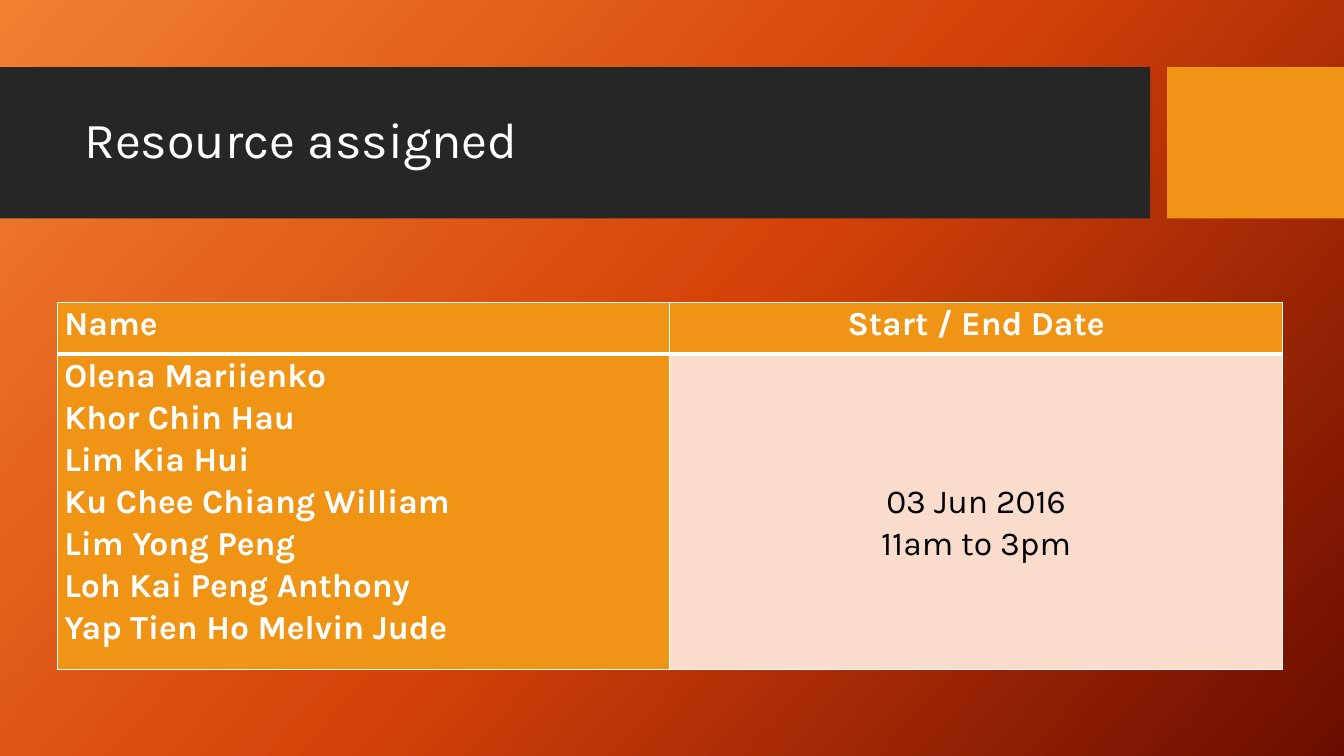
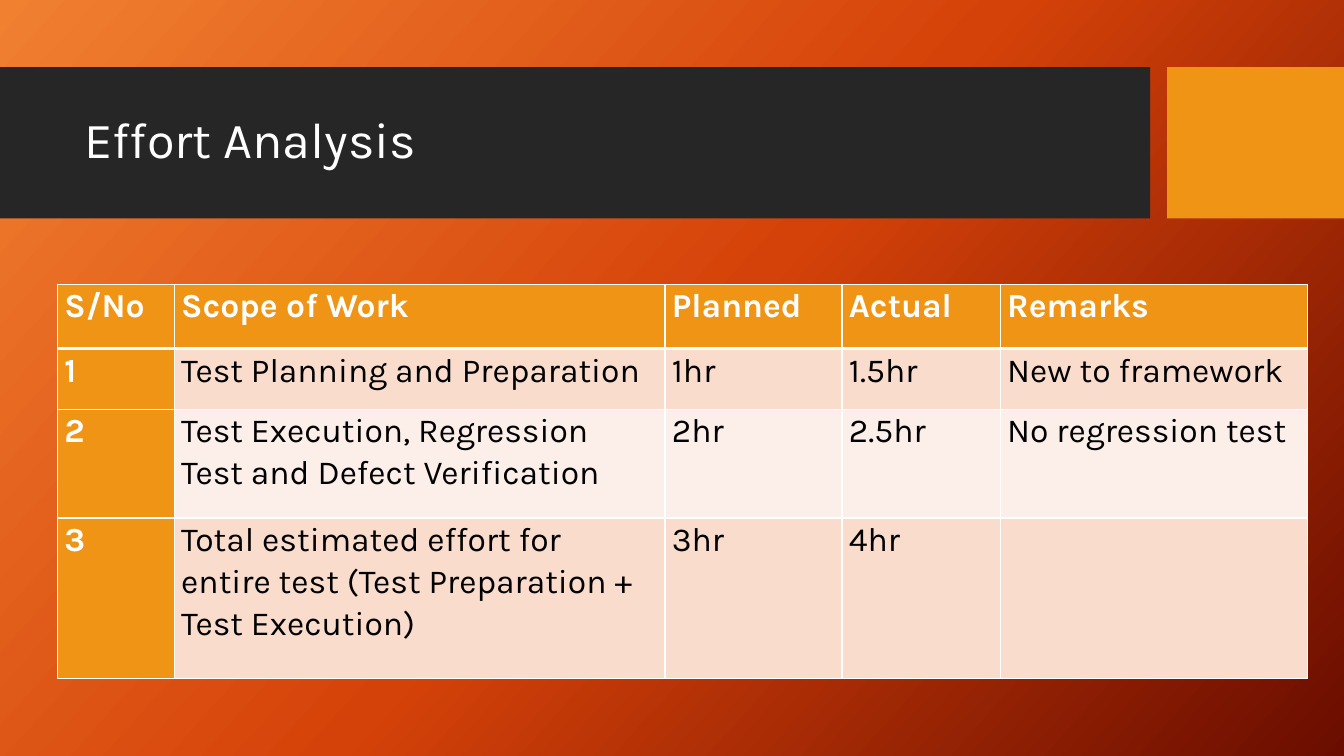
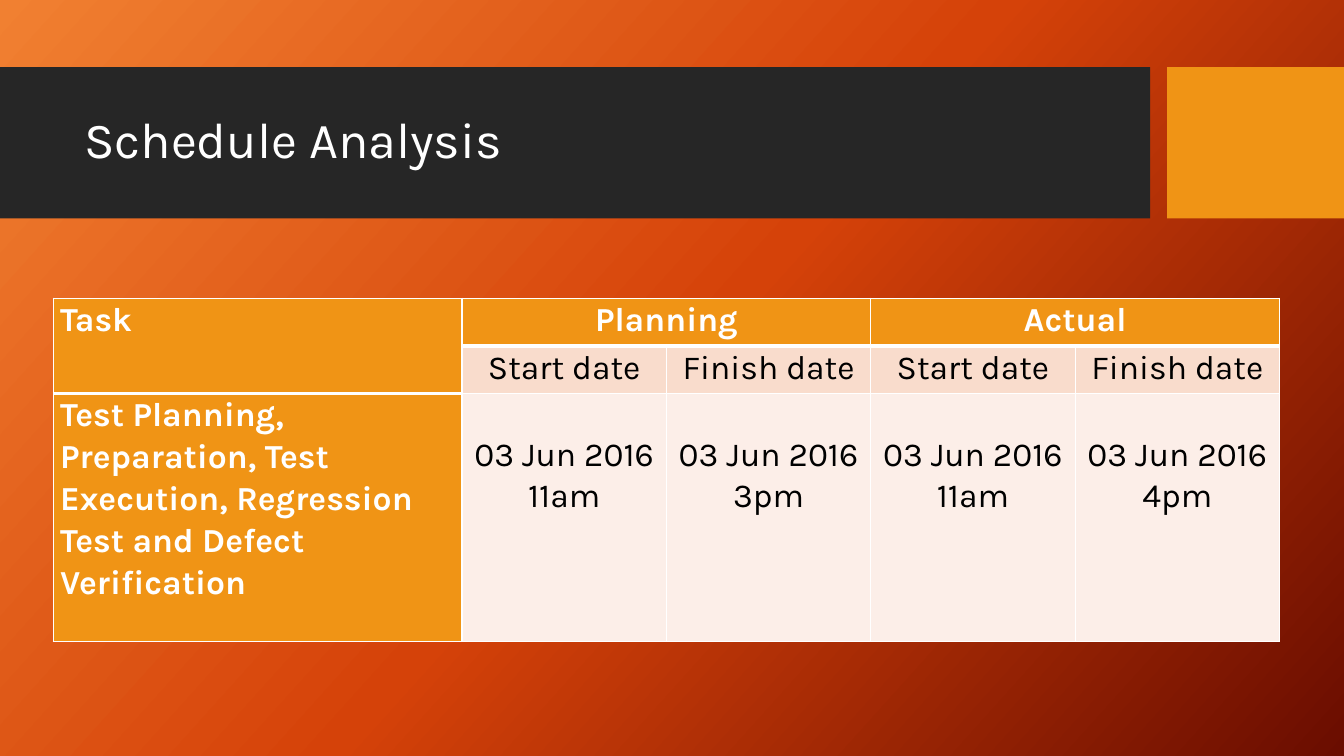
import copy

import pptx
import pptx.util
import pptx.dml.color
import pptx.enum.shapes
import pptx.enum.text
import pptx.oxml
import pptx.oxml.ns

Pt = pptx.util.Pt
RGBColor = pptx.dml.color.RGBColor
ALIGN = pptx.enum.text.PP_ALIGN
ANCHOR = pptx.enum.text.MSO_ANCHOR

# Theme
FONT = "Karla"
WHITE = RGBColor(0xFF, 0xFF, 0xFF)
BLACK = RGBColor(0x00, 0x00, 0x00)
CHARCOAL = RGBColor(0x26, 0x26, 0x26)
ORANGE = RGBColor(0xF0, 0x94, 0x15)
ROW_TINTS = (RGBColor(0xFC, 0xEE, 0xE8), RGBColor(0xF9, 0xDC, 0xCC))
BACKGROUND_STOPS = (
    (0, RGBColor(0xF1, 0x80, 0x31)),
    (0.5, RGBColor(0xD5, 0x42, 0x09)),
    (1, RGBColor(0x6A, 0x0D, 0x00)),
)
BACKGROUND_ANGLE = 42

# Geometry in points
SLIDE_W, SLIDE_H = 960, 540
BAND_TOP, BAND_H = 48, 108
BAND_W, ACCENT_W = 821.5, 126.25
TITLE_BOX = (53, 59, 757, 85)
CELL_INSET = 5
TEXT_LINE = 30


def set_background(layout):
    """Diagonal three-stop gradient shared by all slides."""
    fill = layout.background.fill
    fill.gradient()
    fill.gradient_angle = 360 - BACKGROUND_ANGLE
    stop_list = layout.element.xpath(".//p:bg//a:gsLst")[0]
    stop_list.insert(1, copy.deepcopy(stop_list[0]))
    for stop, (position, color) in zip(fill.gradient_stops, BACKGROUND_STOPS):
        stop.position = position
        stop.color.rgb = color


def add_title_band(layout, slide):
    """Draw the dark band and its accent block, then hand them to the layout."""
    blocks = ((0, BAND_W, CHARCOAL), (SLIDE_W - ACCENT_W, ACCENT_W, ORANGE))
    for depth, (left, width, color) in enumerate(blocks, start=2):
        block = slide.shapes.add_shape(
            pptx.enum.shapes.MSO_SHAPE.RECTANGLE,
            Pt(left), Pt(BAND_TOP), Pt(width), Pt(BAND_H))
        block.shadow.inherit = False
        block.fill.solid()
        block.fill.fore_color.rgb = color
        block.line.fill.background()
        layout.shapes.element.insert(depth, block.element)


def set_title(slide, heading, box):
    title = slide.shapes.title
    title.left, title.top, title.width, title.height = map(Pt, box)
    frame = title.text_frame
    frame.text = heading
    frame.word_wrap = True
    frame.auto_size = pptx.enum.text.MSO_AUTO_SIZE.NONE
    frame.vertical_anchor = ANCHOR.MIDDLE
    format_paragraph(frame.paragraphs[0], ALIGN.LEFT, 0.9, 36, WHITE, False)


def format_paragraph(paragraph, alignment, spacing, size, color, bold):
    paragraph.alignment = alignment
    paragraph.line_spacing = spacing
    for run in paragraph.runs:
        run.font.name = FONT
        run.font.size = Pt(size)
        run.font.bold = bold
        run.font.color.rgb = color


def set_borders(cell, bottom):
    """White rules round a cell; widths in points."""
    properties = cell._tc.get_or_add_tcPr()
    for index, (side, width) in enumerate(
            (("L", 1), ("R", 1), ("T", 1), ("B", bottom))):
        rule = pptx.oxml.parse_xml(
            f'<a:ln{side} {pptx.oxml.ns.nsdecls("a")} w="{Pt(width)}">'
            f'<a:solidFill><a:srgbClr val="{WHITE}"/></a:solidFill></a:ln{side}>')
        properties.insert(index, rule)


def format_cell(cell, row, column, centered, top_inset):
    is_header = row == 0
    is_label = is_header or column == 0
    cell.margin_left = cell.margin_right = Pt(CELL_INSET)
    cell.margin_top = Pt(0 if is_label else top_inset)
    cell.margin_bottom = 0
    cell.vertical_anchor = ANCHOR.TOP
    cell.fill.solid()
    cell.fill.fore_color.rgb = ORANGE if is_label else ROW_TINTS[row % 2]
    set_borders(cell, 3 if is_header or cell.is_spanned else 1)
    alignment = ALIGN.CENTER if centered and column > 0 else ALIGN.LEFT
    for paragraph in cell.text_frame.paragraphs:
        format_paragraph(paragraph, alignment, 1.07, 24,
                         WHITE if is_label else BLACK, is_label)


def add_grid(slide, origin, widths, heights, rows, centered=False,
             merges=(), last_row_inset=0):
    """Table at origin; last_row_inset lowers the values of the last row."""
    grid = slide.shapes.add_table(
        len(heights), len(widths), Pt(origin[0]), Pt(origin[1]),
        Pt(sum(widths)), Pt(sum(heights))).table
    grid.horz_banding = False
    for column, width in zip(grid.columns, widths):
        column.width = Pt(width)
    for grid_row, height in zip(grid.rows, heights):
        grid_row.height = Pt(height)
    for first, last in merges:
        grid.cell(*first).merge(grid.cell(*last))
    for r, entries in enumerate(rows):
        inset = last_row_inset if r == len(rows) - 1 else 0
        for c, entry in enumerate(entries):
            cell = grid.cell(r, c)
            if entry:
                cell.text_frame.text = entry
            format_cell(cell, r, c, centered, inset)


def fill_resources(slide):
    names = "\n".join((
        "Olena Mariienko", "Khor Chin Hau", "Lim Kia Hui",
        "Ku Chee Chiang William", "Lim Yong Peng",
        "Loh Kai Peng Anthony", "Yap Tien Ho Melvin Jude"))
    add_grid(slide, (41, 216), (437.5, 437.5), (37, 225.5),
             (("Name", "Start / End Date"),
              (names, "03 Jun 2016\n11am to 3pm")),
             centered=True, last_row_inset=3 * TEXT_LINE)


def fill_effort(slide):
    add_grid(slide, (41, 203), (83.5, 350.5, 126.5, 113, 219.5),
             (46, 43.5, 77.5, 114.5), (
        ("S/No", "Scope of Work", "Planned", "Actual", "Remarks"),
        ("1", "Test Planning and Preparation", "1hr", "1.5hr",
         "New to framework"),
        ("2", "Test Execution, Regression Test and Defect Verification",
         "2hr", "2.5hr", "No regression test"),
        ("3", "Total estimated effort for entire test "
              "(Test Preparation + Test Execution)", "3hr", "4hr", "")))


def fill_schedule(slide):
    day = "03 Jun 2016"
    times = ("11am", "3pm", "11am", "4pm")
    add_grid(slide, (38, 213), (292,) + (146,) * 4, (34, 34, 177.5), (
        ("Task", "Planning", "", "Actual", ""),
        ("",) + ("Start date", "Finish date") * 2,
        ("Test Planning, Preparation, Test Execution, "
         "Regression Test and Defect Verification",
         *(f"{day}\n{time}" for time in times))),
        centered=True, last_row_inset=TEXT_LINE - 2,
        merges=(((0, 0), (1, 0)), ((0, 1), (0, 2)), ((0, 3), (0, 4))))


def main():
    deck = pptx.Presentation()
    deck.slide_width, deck.slide_height = Pt(SLIDE_W), Pt(SLIDE_H)
    layout = deck.slide_layouts.get_by_name("Title Only")
    set_background(layout)
    contents = (
        ("Resource assigned", fill_resources),
        ("Effort Analysis", fill_effort),
        ("Schedule Analysis", fill_schedule),
    )
    for number, (heading, fill_content) in enumerate(contents):
        slide = deck.slides.add_slide(layout)
        if number == 0:
            add_title_band(layout, slide)
        set_title(slide, heading, TITLE_BOX)
        fill_content(slide)
    deck.save("out.pptx")


if __name__ == "__main__":
    main()
